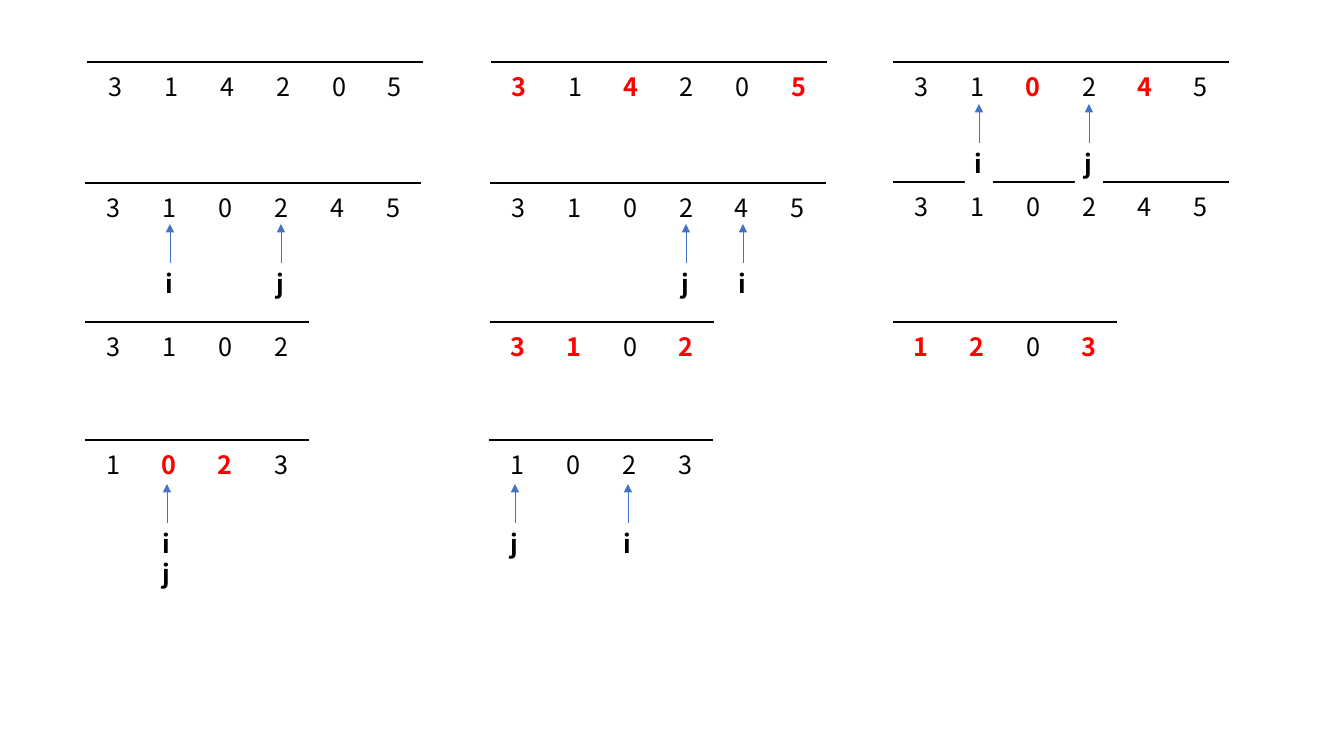
from dataclasses import dataclass
from typing import Any

from lxml.etree import SubElement as Sub
from pptx import Presentation
from pptx.dml.color import RGBColor as Rgb
from pptx.enum.shapes import MSO_CONNECTOR as Link
from pptx.enum.text import MSO_AUTO_SIZE as Fit, PP_ALIGN as Align
from pptx.oxml import parse_xml
from pptx.oxml.ns import nsdecls, qn
from pptx.util import Pt

SCALE = 914400 / 100.8
STEP = 56
ROW_H = 41
TAG_W = 28
TAG_H = 40
STEM = 39
BLACK, RED, BLUE, WHITE = "000000", "FF0000", "4472C4", "FFFFFF"
FACE = {"name": "Noto Sans CJK SC", "size": Pt(18)}
PLAIN = {"first_row": False, "horz_banding": False}


@dataclass
class Mark:
    name: str
    x: int
    y: int


@dataclass
class List:
    x: int
    y: int
    digits: str
    red: str = ""


LISTS = [
    List(87, 62, "314205"),
    List(491, 62, "314205", "345"),
    List(893, 62, "310245", "04"),
    List(85, 183, "310245"),
    List(490, 183, "310245"),
    List(893, 182, "310245"),
    List(85, 322, "3102"),
    List(490, 322, "3102", "312"),
    List(893, 322, "1203", "123"),
    List(85, 440, "1023", "02"),
    List(489, 440, "1023"),
]
MARKS = [
    Mark("i", 979, 143),
    Mark("j", 1089, 143),
    Mark("i", 170, 263),
    Mark("j", 281, 263),
    Mark("i", 743, 263),
    Mark("j", 686, 263),
    Mark("ij", 167, 523),
    Mark("i", 628, 523),
    Mark("j", 515, 523),
]


def px(*sizes: int) -> list[int]:
    return [round(size * SCALE) for size in sizes]


def tint(form: Any, code: str) -> None:
    form.rgb = Rgb.from_string(code)


def dress(item: Any, form: dict[str, Any]) -> None:
    for key, value in form.items():
        setattr(item, key, value)


def write(frame: Any, text: str, code: str, bold: bool, align: Any) -> None:
    para = frame.paragraphs[0]
    para.alignment = align
    run = para.add_run()
    run.text = text
    dress(run.font, FACE | {"bold": bold})
    tint(run.font.color, code)


def rule(cell: Any) -> None:
    props = cell._tc.get_or_add_tcPr()
    for spot, side in enumerate("LRTB"):
        fill = "<a:noFill/>"
        if side == "T":
            fill = f'<a:solidFill><a:srgbClr val="{BLACK}"/></a:solidFill>'
        edge = f'<a:ln{side} {nsdecls("a")} w="{Pt(1)}">{fill}</a:ln{side}>'
        props.insert(spot, parse_xml(edge))


def draw_list(slide: Any, row: List) -> None:
    count = len(row.digits)
    grid = slide.shapes.add_table(1, count, *px(row.x, row.y, count * STEP, ROW_H)).table
    dress(grid, PLAIN)
    for col, digit in enumerate(row.digits):
        grid.columns[col].width = px(STEP)[0]
        cell = grid.cell(0, col)
        cell.fill.background()
        rule(cell)
        hot = digit in row.red
        write(cell.text_frame, digit, RED if hot else BLACK, hot, Align.CENTER)


def draw_mark(slide: Any, mark: Mark) -> None:
    box = slide.shapes.add_textbox(*px(mark.x - TAG_W // 2, mark.y, TAG_W, TAG_H))
    box.fill.solid()
    tint(box.fill.fore_color, WHITE)
    dress(box.text_frame, {"word_wrap": len(mark.name) > 1, "auto_size": Fit.SHAPE_TO_FIT_TEXT})
    write(box.text_frame, mark.name, BLACK, True, Align.LEFT)
    ends = px(mark.x, mark.y, mark.x, mark.y - STEM)
    arrow = slide.shapes.add_connector(Link.STRAIGHT, *ends)
    arrow.begin_connect(box, 0)
    arrow.line.width = Pt(0.5)
    tint(arrow.line.color, BLUE)
    Sub(arrow.line._get_or_add_ln(), qn("a:tailEnd"), type="triangle")
    Sub(arrow._element.spPr, qn("a:effectLst"))


def main() -> None:
    deck = Presentation()
    deck.slide_width, deck.slide_height = px(1344, 756)
    slide = deck.slides.add_slide(deck.slide_layouts[6])
    for row in LISTS:
        draw_list(slide, row)
    for mark in MARKS:
        draw_mark(slide, mark)
    deck.save("out.pptx")


if __name__ == "__main__":
    main()
